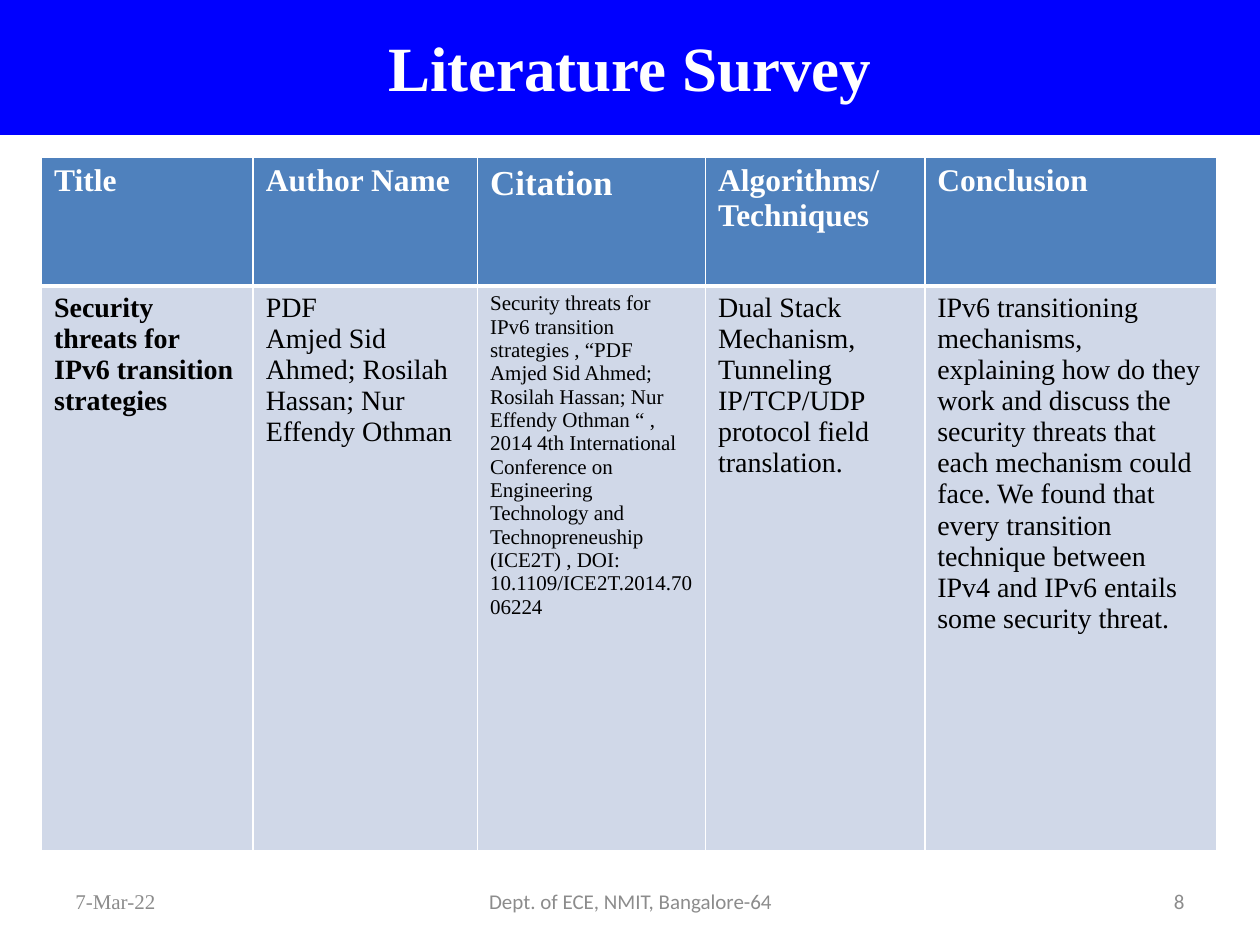
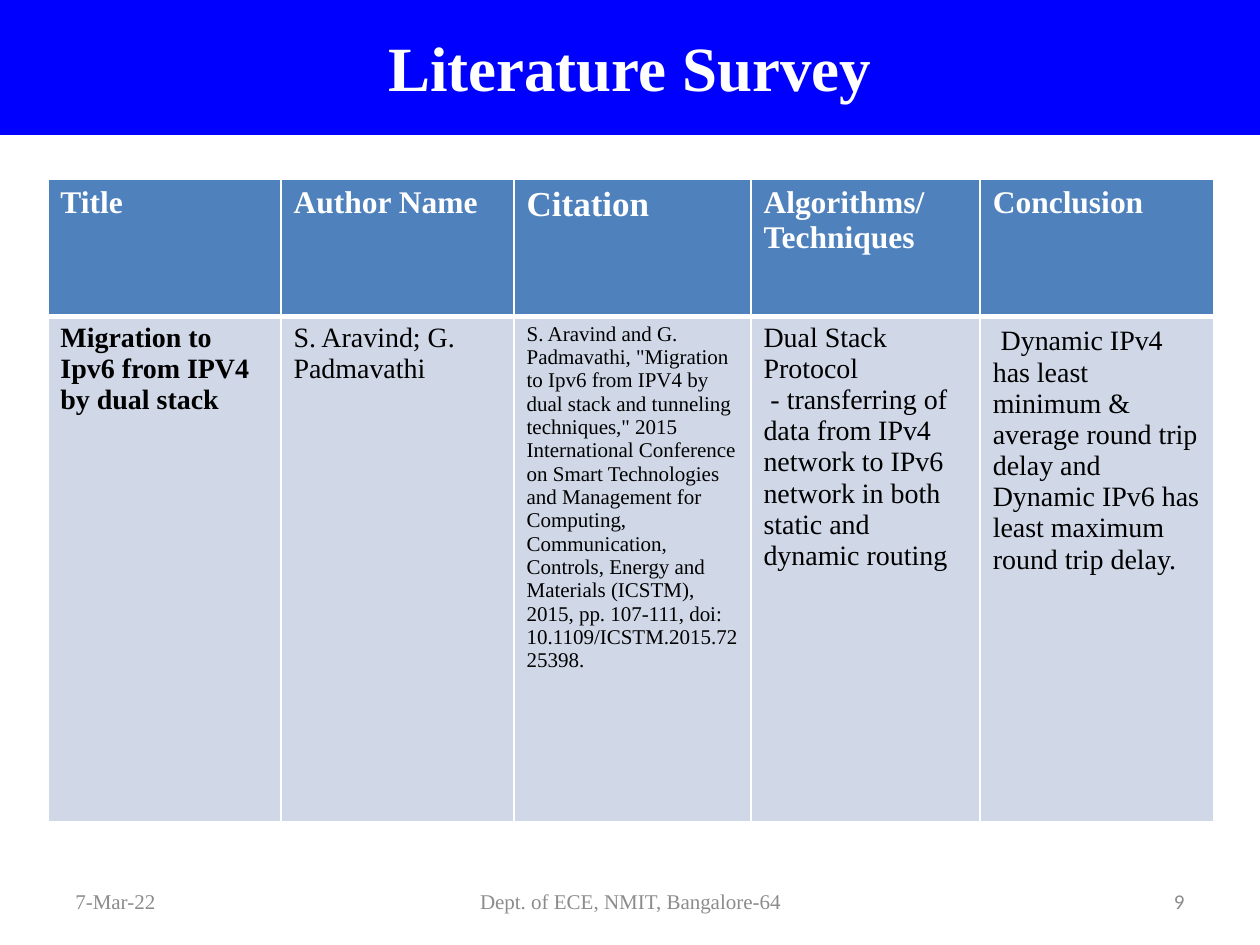
from pptx import Presentation
from pptx.dml.color import RGBColor
from pptx.enum.text import MSO_ANCHOR, PP_ALIGN
from pptx.oxml.ns import qn
from pptx.util import Inches, Pt
from lxml import etree

LEFT, CENTER, RIGHT = PP_ALIGN.LEFT, PP_ALIGN.CENTER, PP_ALIGN.RIGHT
MIDDLE = MSO_ANCHOR.MIDDLE
TITLE_ONLY = 5

# Content
SERIF, SANS = "Times New Roman", "Calibri"
WHITE, BLACK, GREY = "FFFFFF", "000000", "8C8C8C"
BAND, HEADER_FILL, BODY_FILL = "0000FF", "4F81BD", "D0D8E8"

TITLE = "Literature Survey"
DATE = "7-Mar-22"
DEPARTMENT = "Dept. of ECE, NMIT, Bangalore-64"
HEADINGS = ["Title", "Author Name", "Citation", "Algorithms/Techniques", "Conclusion"]
HEADING_SIZES = [18, 18, 20, 18, 18]
BODY_SIZES = [16, 16, 12, 16, 16]

# Each entry of a paper is a list of paragraphs; a paragraph that mixes
# sizes is a list of (text, size) runs.
SURVEYS = [
    {
        "number": "8", "department_font": SANS,
        "corner": (0.33, 1.25),
        "columns": [1.68, 1.78, 1.81, 1.74, 2.32], "rows": [1.02, 4.48],
        "paper": [
            ["Security threats for IPv6 transition strategies"],
            ["PDF", "Amjed Sid Ahmed; Rosilah Hassan; Nur Effendy Othman"],
            ["Security threats for IPv6 transition strategies , “PDF",
             "Amjed Sid Ahmed; Rosilah Hassan; Nur Effendy Othman “ ,",
             "2014 4th International Conference on Engineering Technology and "
             "Technopreneuship (ICE2T) , DOI: 10.1109/ICE2T.2014.7006224"],
            ["Dual Stack Mechanism,",
             "Tunneling IP/TCP/UDP protocol field translation."],
            ["IPv6 transitioning mechanisms, explaining how do they work and "
             "discuss the security threats that each mechanism could face. We "
             "found that every transition technique between IPv4 and IPv6 "
             "entails some security threat."],
        ],
    },
    {
        "number": "9", "department_font": SERIF,
        "corner": (0.38, 1.42),
        "columns": [1.85, 1.85, 1.88, 1.82, 1.85], "rows": [1.09, 4.01],
        "paper": [
            ["Migration to Ipv6 from IPV4 by dual stack"],
            ["S. Aravind; G. Padmavathi"],
            ["S. Aravind and G. Padmavathi, \"Migration to Ipv6 from IPV4 by dual "
             "stack and tunneling techniques,\" 2015 International Conference on "
             "Smart Technologies and Management for Computing, Communication, "
             "Controls, Energy and Materials (ICSTM), 2015, pp. 107-111, doi: "
             "10.1109/ICSTM.2015.7225398."],
            ["Dual Stack Protocol",
             " - transferring of data from IPv4 network to IPv6 network in both "
             "static and dynamic routing"],
            [[(" ", 18),
              ("Dynamic IPv4 has least minimum & average round trip delay and "
               "Dynamic IPv6 has least maximum round trip delay.", 16)]],
        ],
    },
]


def color(value):
    return RGBColor.from_string(value)


def write(frame, paragraphs, size, ink, font=SERIF, bold=False, align=LEFT):
    for index, content in enumerate(paragraphs):
        paragraph = frame.paragraphs[0] if index == 0 else frame.add_paragraph()
        paragraph.alignment = align
        runs = [(content, size)] if isinstance(content, str) else content
        for text, run_size in runs:
            run = paragraph.add_run()
            run.text = text
            style = {"name": font, "size": Pt(run_size), "bold": bold}
            for key, value in style.items():
                setattr(run.font, key, value)
            run.font.color.rgb = color(ink)


def place(shape, left, top, width, height):
    box = {"left": left, "top": top, "width": width, "height": height}
    for key, value in box.items():
        setattr(shape, key, Inches(value))


def add_title(slide):
    band = slide.shapes.title
    place(band, 0, -0.02, 10, 1.09)
    band.fill.solid()
    band.fill.fore_color.rgb = color(BAND)
    band.text_frame.vertical_anchor = MIDDLE
    write(band.text_frame, [TITLE], 36, WHITE, bold=True, align=CENTER)


def add_footers(slide, survey):
    footers = [
        (DATE, 0.5, 1, SERIF, LEFT),
        (DEPARTMENT, 3.42, 3.17, survey["department_font"], CENTER),
        (survey["number"], 7.17, 2.33, SANS, RIGHT),
    ]
    for text, left, width, font, align in footers:
        footer = slide.shapes.add_textbox(
            Inches(left), Inches(6.95), Inches(width), Inches(0.4))
        frame = footer.text_frame
        frame.word_wrap = True
        frame.vertical_anchor = MIDDLE
        write(frame, [text], 12, GREY, font, align=align)


def set_borders(cell, widths):
    properties = cell._tc.get_or_add_tcPr()
    for index, (side, points) in enumerate(widths.items()):
        line = etree.Element(qn(f"a:{side}"), w=str(Pt(points)))
        fill = etree.SubElement(line, qn("a:solidFill"))
        etree.SubElement(fill, qn("a:srgbClr"), val=WHITE)
        properties.insert(index, line)


def add_survey_table(slide, survey):
    columns, rows = survey["columns"], survey["rows"]
    left, top = survey["corner"]
    table = slide.shapes.add_table(
        len(rows), len(columns), Inches(left), Inches(top),
        Inches(sum(columns)), Inches(sum(rows))).table
    table.horz_banding = False
    for column, width in zip(table.columns, columns):
        column.width = Inches(width)
    for row, height in zip(table.rows, rows):
        row.height = Inches(height)

    # Heading row above the paper's row, parted by a thick rule
    contents = [[[heading] for heading in HEADINGS], survey["paper"]]
    for r, entries in enumerate(contents):
        is_header = r == 0
        sizes = HEADING_SIZES if is_header else BODY_SIZES
        borders = {"lnL": 1, "lnR": 1,
                   "lnT": 1 if is_header else 3, "lnB": 3 if is_header else 1}
        for c, entry in enumerate(entries):
            cell = table.cell(r, c)
            cell.fill.solid()
            cell.fill.fore_color.rgb = color(HEADER_FILL if is_header else BODY_FILL)
            set_borders(cell, borders)
            write(cell.text_frame, entry, sizes[c], WHITE if is_header else BLACK,
                  bold=is_header or c == 0)


def main():
    deck = Presentation()
    deck.slide_width, deck.slide_height = Inches(10), Inches(7.5)
    for survey in SURVEYS:
        slide = deck.slides.add_slide(deck.slide_layouts[TITLE_ONLY])
        add_title(slide)
        add_survey_table(slide, survey)
        add_footers(slide, survey)
    deck.save("out.pptx")


if __name__ == "__main__":
    main()
